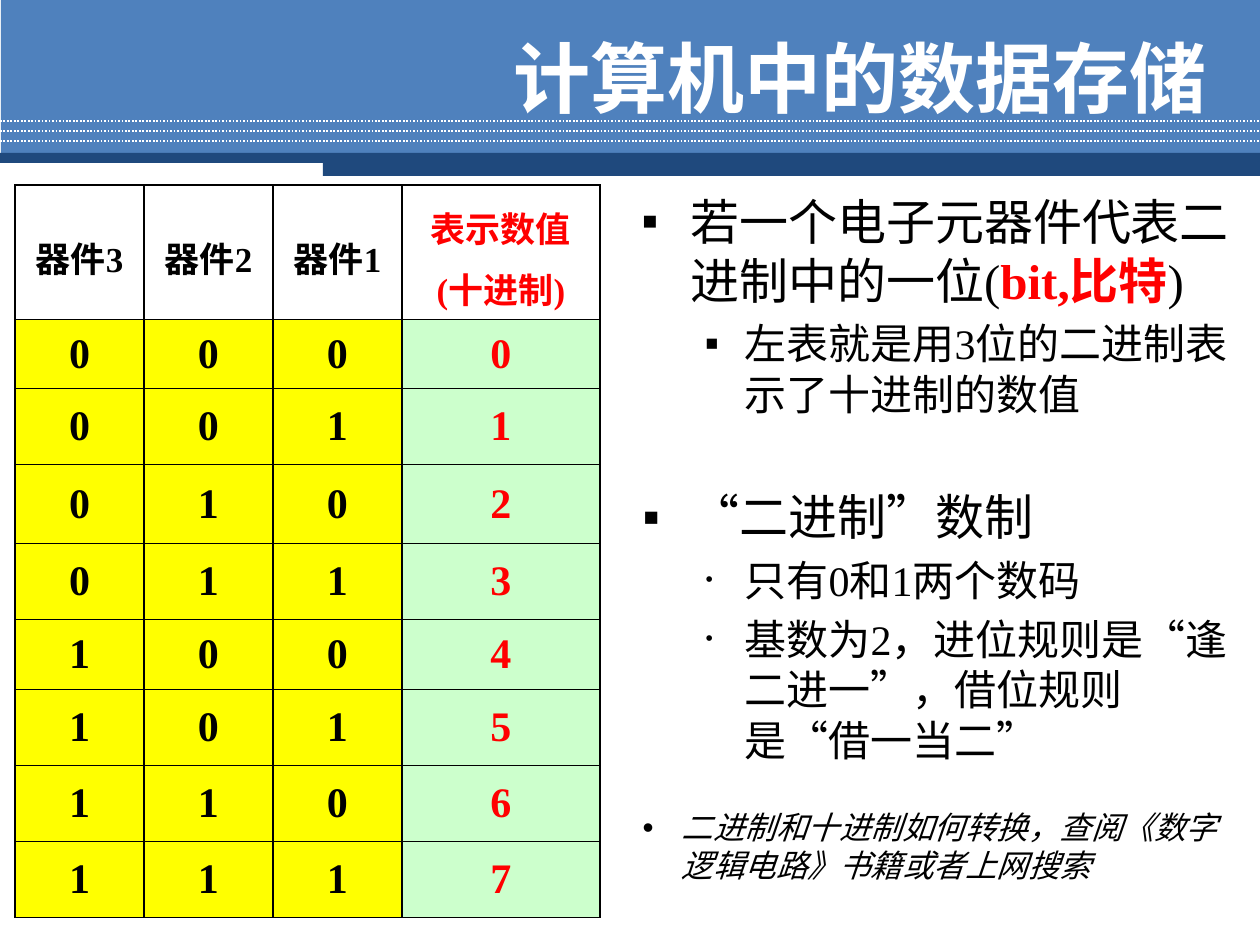
import pptx
import pptx.dml.color
import pptx.enum.dml
import pptx.enum.shapes
import pptx.enum.text
import pptx.oxml
import pptx.oxml.ns
import pptx.util
from lxml import etree

PX = 914400 / 126
FONT = "Times New Roman"
BLACK, RED, WHITE = "000000", "FF0000", "FFFFFF"
ALIGN = pptx.enum.text.PP_ALIGN
MIDDLE = pptx.enum.text.MSO_ANCHOR.MIDDLE


def px(length):
    return pptx.util.Emu(round(length * PX))


def rgb(hex_colour):
    return pptx.dml.color.RGBColor.from_string(hex_colour)


def sub(parent, tag, **attributes):
    return etree.SubElement(parent, pptx.oxml.ns.qn(tag), attributes)


def add_run(paragraph, text, size, colour=BLACK, **formats):
    run = paragraph.add_run()
    run.text = text
    run.font.color.rgb = rgb(colour)
    for name, value in {"name": FONT, "size": pptx.util.Pt(size), **formats}.items():
        setattr(run.font, name, value)


def place(shape, box):
    for name, value in zip(("left", "top", "width", "height"), box):
        setattr(shape, name, px(value))


def set_frame(frame, **formats):
    formats = {"word_wrap": True, "auto_size": pptx.enum.text.MSO_AUTO_SIZE.NONE, **formats}
    for name, value in formats.items():
        setattr(frame, name, value)


def add_header_band(slide, box):
    left, top, width, height = box

    def add_bar(x, y, w, h, colour):
        bar = slide.shapes.add_shape(
            pptx.enum.shapes.MSO_SHAPE.RECTANGLE, px(left + x), px(top + y), px(w), px(h))
        bar.shadow.inherit = False
        bar.fill.solid()
        bar.fill.fore_color.rgb = rgb(colour)
        bar.line.fill.background()

    add_bar(1, 0, width - 1, 155, "4F81BD")
    # Dotted rules
    for y in range(121, 142, 10):
        rule = slide.shapes.add_connector(
            pptx.enum.shapes.MSO_CONNECTOR.STRAIGHT,
            px(left), px(top + y), px(left + width), px(top + y))
        rule.line.color.rgb = rgb(WHITE)
        rule.line.width = pptx.util.Pt(1)
        rule.line.dash_style = pptx.enum.dml.MSO_LINE.ROUND_DOT
        sub(rule.element.spPr, "a:effectLst")
    # Stepped dark edge
    add_bar(0, 153, width, 10, "1F497D")
    add_bar(323, 156, width - 323, height - 156, "1F497D")


def add_title(slide, box):
    title = slide.shapes.title
    place(title, box)
    set_frame(title.text_frame, vertical_anchor=MIDDLE)
    heading = title.text_frame.paragraphs[0]
    heading.alignment = ALIGN.RIGHT
    add_run(heading, "计算机中的数据存储", 44, WHITE, bold=True)
    # Bring the title in front of the band
    slide.shapes.element.append(title.element)


def format_cell(cell, text, size, colour, fill):
    properties = cell._tc.get_or_add_tcPr()
    for side in ("a:lnL", "a:lnR", "a:lnT", "a:lnB"):
        border = sub(properties, side, w="12700")
        sub(sub(border, "a:solidFill"), "a:srgbClr", val=BLACK)
    if fill:
        cell.fill.solid()
        cell.fill.fore_color.rgb = rgb(fill)
    else:
        cell.fill.background()
    cell.vertical_anchor = MIDDLE
    paragraph = cell.text_frame.paragraphs[0]
    paragraph.alignment = ALIGN.CENTER
    if not fill:
        paragraph.line_spacing = 1.2
    add_run(paragraph, text, size, colour, bold=True)


def add_binary_table(slide, box):
    widths = [129, 129, 129, 198]
    heights = [97, 69, 76, 79, 76, 70, 76, 76, 76]
    rows = [["器件3", "器件2", "器件1", "表示数值(十进制)"]]
    rows += [[*f"{number:03b}", str(number)] for number in range(8)]

    table = slide.shapes.add_table(len(rows), len(widths), *map(px, box)).table
    table.first_row = table.horz_banding = False
    for column, width in zip(table.columns, widths):
        column.width = px(width)
    for row, height in zip(table.rows, heights):
        row.height = px(height)
    for r, values in enumerate(rows):
        for c, value in enumerate(values):
            is_decimal = c == 3
            fill = None if r == 0 else "CCFFCC" if is_decimal else "FFFF00"
            format_cell(table.cell(r, c), value, 24 if r else 20,
                        RED if is_decimal else BLACK, fill)


def set_bullet(paragraph, char, percent, margin, hanging):
    properties = paragraph._p.get_or_add_pPr()
    properties.set("marL", str(px(margin)))
    properties.set("indent", str(px(-hanging)))
    sub(properties, "a:buSzPct", val=str(percent * 1000))
    sub(properties, "a:buChar", char=char)


def add_notes_list(slide, box):
    body = slide.placeholders[1]
    place(body, box)
    set_frame(body.text_frame, vertical_anchor=pptx.enum.text.MSO_ANCHOR.TOP)
    indents = [(48, 48), (102, 39), (39, 39)]
    # Level, bullet, bullet size in percent, space before, text size, runs
    items = [
        (0, "■", 50, 0, 28, [("若一个电子元器件代表二进制中的一位(", {}),
                             ("bit,比特", {"colour": RED, "bold": True}), (")", {})]),
        (1, "■", 50, 5, 24, [("左表就是用3位的二进制表示了十进制的数值", {})]),
        (0, "▪", 100, 39, 28, [("“二进制”数制", {})]),
        (1, "•", 50, 5, 24, [("只有0和1两个数码", {})]),
        (1, "•", 50, 5, 24, [("基数为2，进位规则是“逢二进一”，借位规则是“借一当二”", {})]),
        (2, "•", 100, 25, 18,
         [("二进制和十进制如何转换，查阅《数字逻辑电路》书籍或者上网搜索", {"italic": True})]),
    ]
    for index, (level, char, percent, gap, size, runs) in enumerate(items):
        frame = body.text_frame
        paragraph = frame.add_paragraph() if index else frame.paragraphs[0]
        paragraph.level = level
        paragraph.alignment = ALIGN.LEFT
        paragraph.space_before = pptx.util.Pt(gap)
        set_bullet(paragraph, char, percent, *indents[level])
        for text, formats in runs:
            add_run(paragraph, text, size, **formats)


def main():
    deck = pptx.Presentation()
    deck.slide_width, deck.slide_height = px(1260), px(945)
    slide = deck.slides.add_slide(deck.slide_layouts[1])
    add_header_band(slide, (0, 0, 1260, 176))
    add_binary_table(slide, (15, 185, 585, 695))
    add_notes_list(slide, (630, 185, 615, 566))
    add_title(slide, (412, 26, 808, 102))
    deck.save("out.pptx")


if __name__ == "__main__":
    main()
